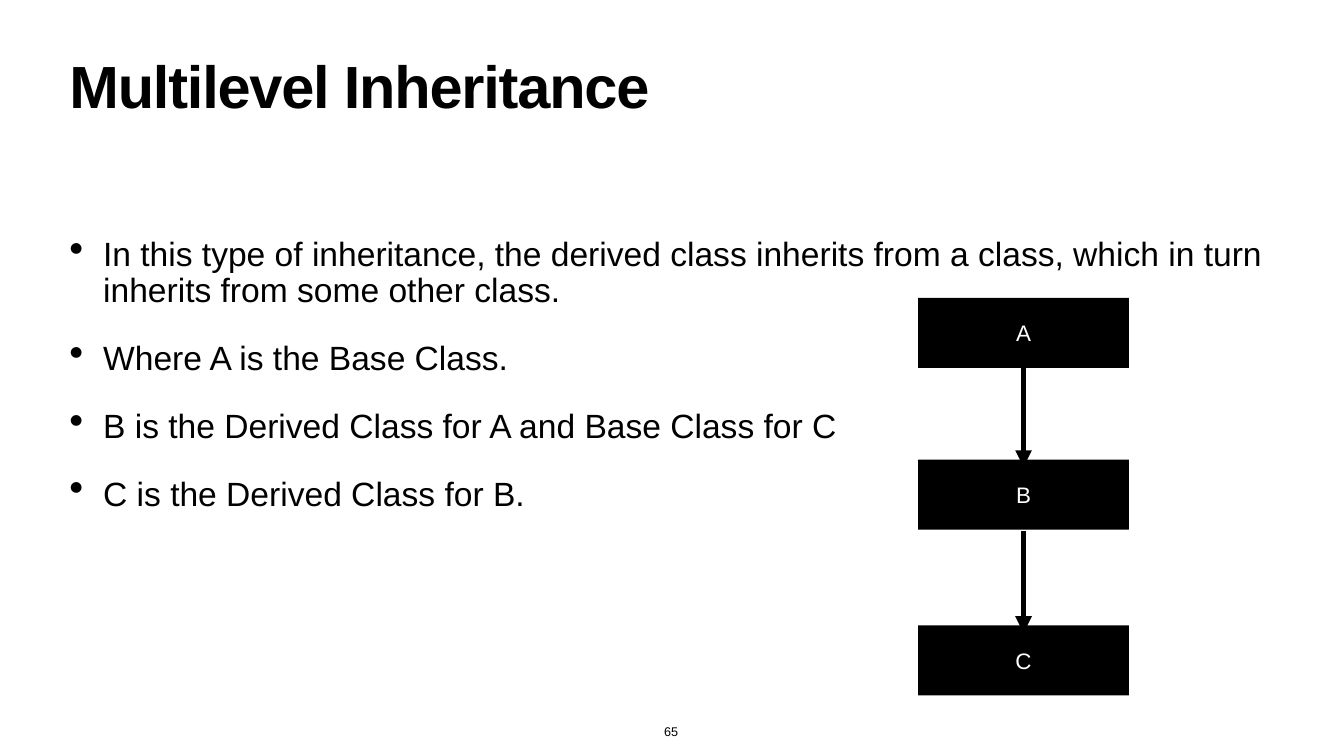
from dataclasses import dataclass

from lxml.etree import SubElement
from pptx import Presentation
from pptx.dml.color import RGBColor
from pptx.enum.shapes import MSO_CONNECTOR, MSO_SHAPE
from pptx.enum.text import MSO_ANCHOR, MSO_AUTO_SIZE, PP_ALIGN
from pptx.oxml.ns import qn
from pptx.util import Cm, Pt


@dataclass(frozen=True)
class Theme:
    font: str = "Arial"
    ink: RGBColor = RGBColor(0, 0, 0)
    paper: RGBColor = RGBColor(255, 255, 255)
    title_size: int = 85
    body_size: int = 48
    class_size: int = 32
    number_size: int = 18
    arrow_width: int = 8


THEME = Theme()
MARGIN = 3.35
CONTENT_WIDTH = 61.04
CLASS_LEFT, CLASS_WIDTH, CLASS_HEIGHT = 46.28, 10.62, 3.53
ARROW_LENGTH, ARROW_OVERLAP = 5.13, 0.38

POINTS = [
    "In this type of inheritance, the derived class inherits from a class, "
    "which in turn inherits from some other class.",
    "Where A is the Base Class.",
    "B is the Derived Class for A and Base Class for C",
    "C is the Derived Class for B.",
]
CLASS_TOPS = {"A": 15.01, "B": 23.16, "C": 31.52}


def set_frame(frame, anchor, wrap=True):
    frame.margin_left = frame.margin_right = Cm(0.15)
    frame.margin_top = frame.margin_bottom = Cm(0.15)
    frame.vertical_anchor = anchor
    frame.word_wrap = wrap
    frame.auto_size = MSO_AUTO_SIZE.NONE


def add_run(paragraph, text, size, color=THEME.ink, bold=False):
    run = paragraph.add_run()
    run.text = text
    run.font.name = THEME.font
    run.font.size = Pt(size)
    run.font.bold = bold
    run.font.color.rgb = color
    return run


def set_title(slide, text):
    title = slide.shapes.title
    title.left, title.top = Cm(MARGIN), Cm(3)
    title.width, title.height = Cm(CONTENT_WIDTH), Cm(3.99)
    set_frame(title.text_frame, MSO_ANCHOR.TOP)
    heading = title.text_frame.paragraphs[0]
    heading.alignment = PP_ALIGN.LEFT
    heading.line_spacing = 0.8
    run = add_run(heading, text, THEME.title_size, bold=True)
    run.font._element.set("spc", "-170")


def add_bullets(slide, points):
    body = slide.shapes.add_textbox(
        Cm(MARGIN), Cm(11.81), Cm(CONTENT_WIDTH), Cm(22.94))
    frame = body.text_frame
    set_frame(frame, MSO_ANCHOR.TOP)
    for index, point in enumerate(points):
        paragraph = frame.add_paragraph() if index else frame.paragraphs[0]
        paragraph.line_spacing = 0.9
        paragraph.space_before = Pt(45)
        properties = paragraph._p.get_or_add_pPr()
        properties.set("marL", str(Cm(1.7)))
        properties.set("indent", str(-Cm(1.7)))
        SubElement(properties, qn("a:buSzPct"), val="123000")
        SubElement(properties, qn("a:buChar"), char="•")
        add_run(paragraph, point, THEME.body_size)


def add_page_number(slide, number):
    box = slide.shapes.add_textbox(Cm(33.32), Cm(36.35), Cm(1.02), Cm(1.04))
    set_frame(box.text_frame, MSO_ANCHOR.BOTTOM, wrap=False)
    box.text_frame.auto_size = MSO_AUTO_SIZE.SHAPE_TO_FIT_TEXT
    paragraph = box.text_frame.paragraphs[0]
    paragraph.alignment = PP_ALIGN.CENTER
    add_run(paragraph, number, THEME.number_size)


def add_class(slide, name, top):
    box = slide.shapes.add_shape(
        MSO_SHAPE.RECTANGLE, Cm(CLASS_LEFT), Cm(top),
        Cm(CLASS_WIDTH), Cm(CLASS_HEIGHT))
    box.shadow.inherit = False
    box.fill.solid()
    box.fill.fore_color.rgb = THEME.ink
    box.line.fill.background()
    set_frame(box.text_frame, MSO_ANCHOR.MIDDLE)
    paragraph = box.text_frame.paragraphs[0]
    paragraph.alignment = PP_ALIGN.CENTER
    add_run(paragraph, name, THEME.class_size, THEME.paper)


def add_arrow_into(slide, class_top):
    center = Cm(CLASS_LEFT + CLASS_WIDTH / 2)
    tip = class_top + ARROW_OVERLAP
    arrow = slide.shapes.add_connector(
        MSO_CONNECTOR.STRAIGHT, center, Cm(tip - ARROW_LENGTH), center, Cm(tip))
    arrow.line.color.rgb = THEME.ink
    arrow.line.width = Pt(THEME.arrow_width)
    SubElement(arrow.line._get_or_add_ln(), qn("a:tailEnd"), type="triangle")
    SubElement(arrow._element.spPr, qn("a:effectLst"))


def add_hierarchy(slide, class_tops):
    for level, (name, top) in enumerate(class_tops.items()):
        add_class(slide, name, top)
        if level:
            add_arrow_into(slide, top)


def main():
    deck = Presentation()
    deck.slide_width, deck.slide_height = Cm(67.74), Cm(38.1)
    slide = deck.slides.add_slide(deck.slide_layouts.get_by_name("Title Only"))
    slide.background.fill.solid()
    slide.background.fill.fore_color.rgb = THEME.paper
    set_title(slide, "Multilevel Inheritance")
    add_bullets(slide, POINTS)
    add_page_number(slide, "65")
    add_hierarchy(slide, CLASS_TOPS)
    deck.save("out.pptx")


main()
